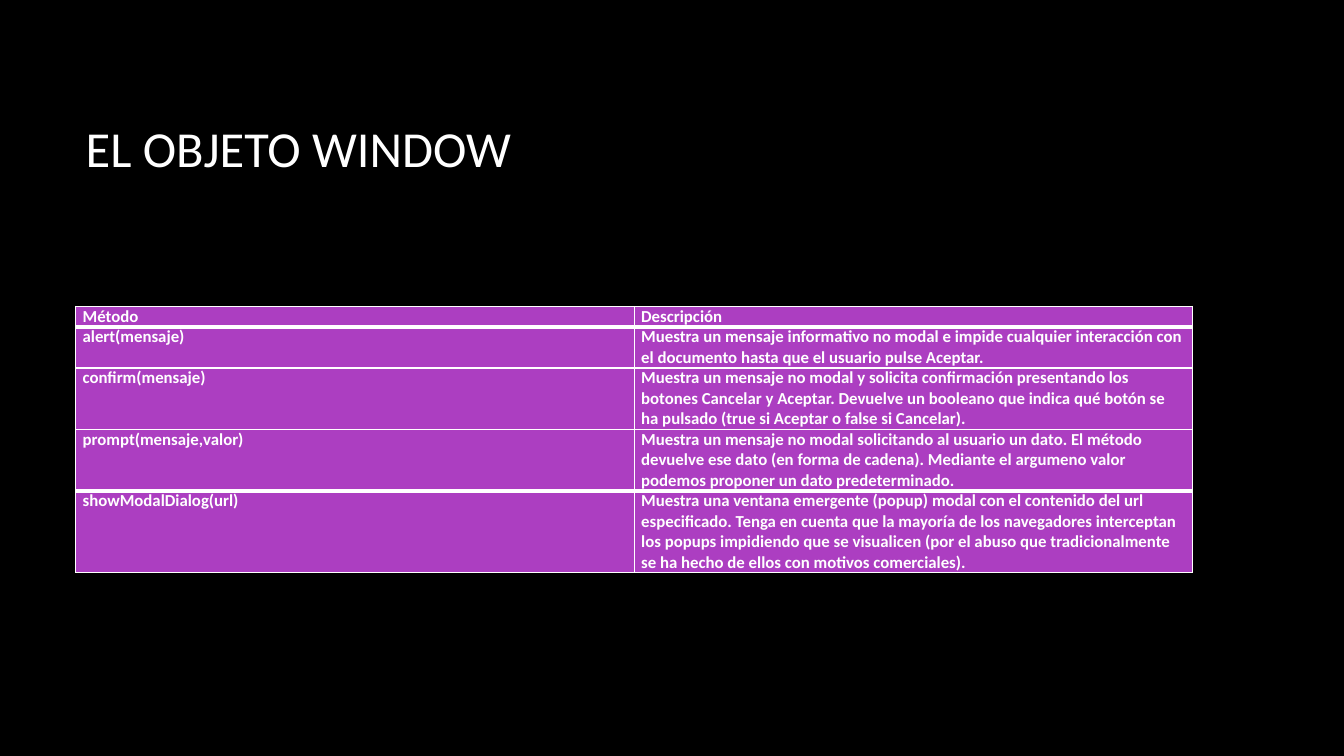
from lxml import etree
from pptx import Presentation
from pptx import util as u
from pptx.dml import color
from pptx.enum import text
from pptx.oxml import ns

COLORS = {"page": "000000", "ink": "FFFFFF", "cell": "AC3EC1"}
FONT = "Calibri"
LINE_HEIGHT = 0.2  # inches per line of table text
THIN, THICK = 1, 3  # border widths in points

# Method, description, lines the description takes
METHODS = [
    ("Método", "Descripción", 1),
    ("alert(mensaje)",
     "Muestra un mensaje informativo no modal e impide cualquier interacción con "
     "el documento hasta que el usuario pulse Aceptar.", 2),
    ("confirm(mensaje)",
     "Muestra un mensaje no modal y solicita confirmación presentando los botones "
     "Cancelar y Aceptar. Devuelve un booleano que indica qué botón se ha pulsado "
     "(true si Aceptar o false si Cancelar).", 3),
    ("prompt(mensaje,valor)",
     "Muestra un mensaje no modal solicitando al usuario un dato. El método "
     "devuelve ese dato (en forma de cadena). Mediante el argumeno valor podemos "
     "proponer un dato predeterminado.", 3),
    ("showModalDialog(url)",
     "Muestra una ventana emergente (popup) modal con el contenido del url "
     "especificado. Tenga en cuenta que la mayoría de los navegadores interceptan "
     "los popups impidiendo que se visualicen (por el abuso que tradicionalmente "
     "se ha hecho de ellos con motivos comerciales).", 4),
]


def rgb(name):
    return color.RGBColor.from_string(COLORS[name])


def add_span(para, words, size, bold=False):
    span = para.add_run()
    span.text = words
    span.font.name = FONT
    span.font.size = u.Pt(size)
    span.font.bold = bold
    span.font.color.rgb = rgb("ink")


def set_borders(cell, top, bottom):
    properties = cell._tc.get_or_add_tcPr()
    widths = {"a:lnL": THIN, "a:lnR": THIN, "a:lnT": top, "a:lnB": bottom}
    for place, (tag, width) in enumerate(widths.items()):
        line = etree.Element(ns.qn(tag), w=str(u.Pt(width)))
        fill = etree.SubElement(line, ns.qn("a:solidFill"))
        etree.SubElement(fill, ns.qn("a:srgbClr"), val=COLORS["ink"])
        properties.insert(place, line)


def place_title(page, words, left, top, width, height):
    title = page.shapes.title
    title.left, title.top = u.Inches(left), u.Inches(top)
    title.width, title.height = u.Inches(width), u.Inches(height)
    frame = title.text_frame
    frame.word_wrap = True
    frame.vertical_anchor = text.MSO_ANCHOR.MIDDLE
    para = frame.paragraphs[0]
    para.alignment = text.PP_ALIGN.LEFT
    add_span(para, words, 36)


def fill_cell(cell, words, top, bottom):
    cell.margin_left = cell.margin_right = u.Inches(0.07)
    cell.margin_top = cell.margin_bottom = 0
    cell.fill.solid()
    cell.fill.fore_color.rgb = rgb("cell")
    set_borders(cell, top, bottom)
    para = cell.text_frame.paragraphs[0]
    para.space_after = u.Pt(6)
    add_span(para, words, 12, bold=True)


def add_method_table(page, left, top, width):
    height = LINE_HEIGHT * sum(lines for *_, lines in METHODS)
    table = page.shapes.add_table(len(METHODS), 2, u.Inches(left), u.Inches(top),
                                  u.Inches(width), u.Inches(height)).table
    for column in table.columns:
        column.width = u.Inches(width / 2)
    # Thick rules run below the header and above the last row
    last = len(METHODS) - 1
    thick_rules = {1, last}
    for index, (*words, lines) in enumerate(METHODS):
        table.rows[index].height = u.Inches(LINE_HEIGHT * lines)
        above, below = (THICK if rule in thick_rules else THIN
                        for rule in (index, index + 1))
        for cell, content in zip(table.rows[index].cells, words):
            fill_cell(cell, content, above, below)


def main():
    deck = Presentation()
    deck.slide_width, deck.slide_height = u.Inches(13.33), u.Inches(7.5)
    page = deck.slides.add_slide(deck.slide_layouts[5])
    page.background.fill.solid()
    page.background.fill.fore_color.rgb = rgb("page")
    left, width = 0.75, 11.08
    place_title(page, "EL OBJETO WINDOW", left, 0.67, width, 1.59)
    add_method_table(page, left, 3.04, width)
    deck.save("out.pptx")


if __name__ == "__main__":
    main()
